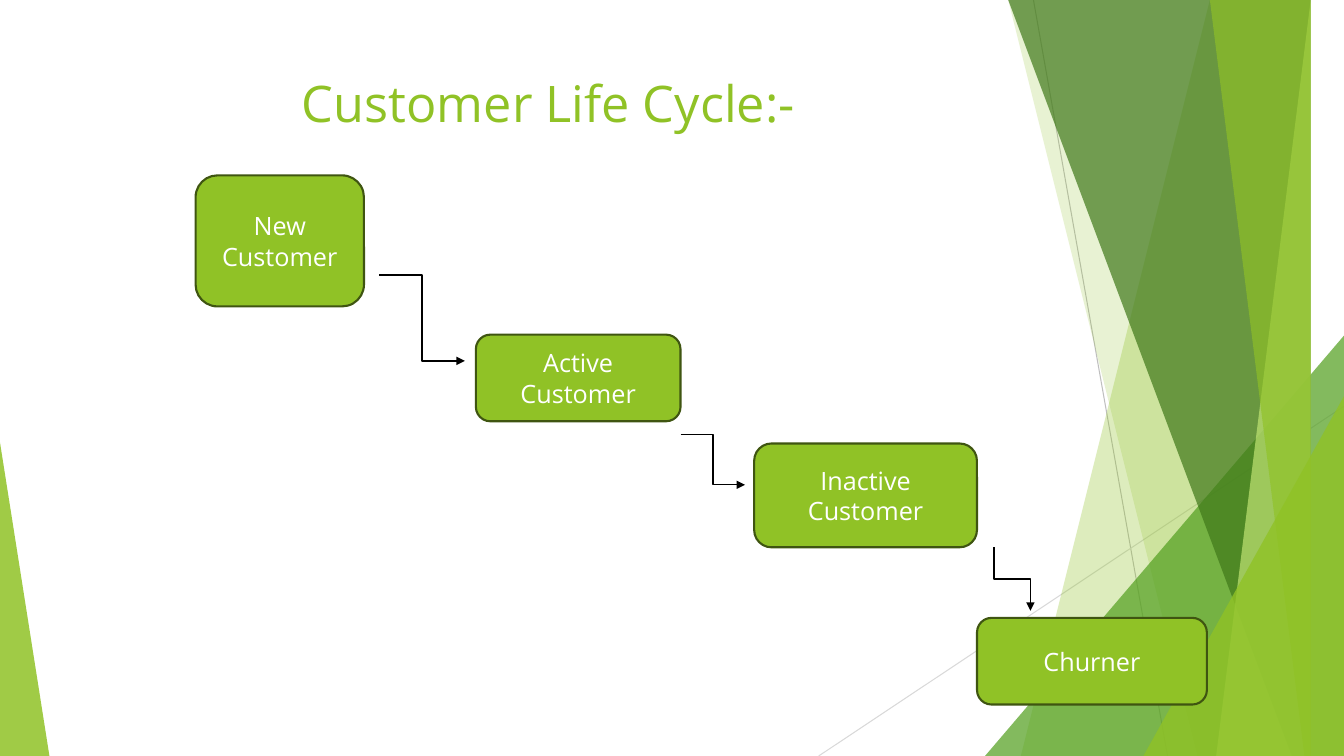
from lxml import etree
from pptx import Presentation
from pptx.dml.color import RGBColor
from pptx.enum.shapes import MSO_CONNECTOR, MSO_SHAPE
from pptx.enum.text import MSO_ANCHOR, MSO_AUTO_SIZE, PP_ALIGN
from pptx.oxml.ns import qn
from pptx.util import Inches, Pt

STRAIGHT, ELBOW = MSO_CONNECTOR.STRAIGHT, MSO_CONNECTOR.ELBOW
TRIANGLE, ROUNDED = MSO_SHAPE.ISOSCELES_TRIANGLE, MSO_SHAPE.ROUNDED_RECTANGLE
CENTER = PP_ALIGN.CENTER
TOP, MIDDLE = MSO_ANCHOR.TOP, MSO_ANCHOR.MIDDLE
NO_AUTOFIT = MSO_AUTO_SIZE.NONE
WIDTH, HEIGHT = 13.33, 7.5
TITLE_ONLY = 5


def color(hex_code):
    return RGBColor.from_string(hex_code)


class LifeCycleSlide:
    """Holds the slide and its style, and draws each kind of element."""

    font = "Open Sans"
    green, outline, white, black = "90C226", "3F5511", "FFFFFF", "000000"

    def __init__(self, slide):
        self.slide = slide
        self.shapes = slide.shapes
        slide.background.fill.solid()
        slide.background.fill.fore_color.rgb = color(self.white)

    def set_text(self, frame, lines, size, text_color, anchor):
        frame.word_wrap = True
        frame.auto_size = NO_AUTOFIT
        frame.vertical_anchor = anchor
        for index, line in enumerate(lines):
            paragraph = frame.add_paragraph() if index else frame.paragraphs[0]
            paragraph.alignment = CENTER
            run = paragraph.add_run()
            run.text = line
            run.font.name = self.font
            run.font.size = Pt(size)
            run.font.color.rgb = color(text_color)

    def paint(self, shape, fill, opacity=100):
        shape.shadow.inherit = False
        shape.fill.solid()
        shape.fill.fore_color.rgb = color(fill)
        shape.line.fill.background()
        if opacity < 100:
            fill_color = shape._element.spPr.find(qn("a:solidFill")).find(qn("a:srgbClr"))
            etree.SubElement(fill_color, qn("a:alpha")).set("val", str(opacity * 1000))

    def title(self, text, box):
        heading = self.shapes.title
        heading.left, heading.top, heading.width, heading.height = map(Inches, box)
        self.set_text(heading.text_frame, [text], 36, self.green, TOP)

    def strip(self, top_x, bottom_x, fill, opacity):
        builder = self.shapes.build_freeform(top_x, -0.01, scale=Inches(1))
        builder.add_line_segments([(WIDTH, -0.01), (WIDTH, HEIGHT), (bottom_x, HEIGHT)])
        self.paint(builder.convert_to_shape(), fill, opacity)

    def corner(self, left, top, width, apex, fill, opacity):
        box = map(Inches, (left, top, width, HEIGHT - top))
        triangle = self.shapes.add_shape(TRIANGLE, *box)
        triangle.adjustments[0] = apex
        self.paint(triangle, fill, opacity)

    def stage(self, lines, box):
        card = self.shapes.add_shape(ROUNDED, *map(Inches, box))
        self.paint(card, self.green)
        card.line.color.rgb = color(self.outline)
        card.line.width = Pt(1.5)
        self.set_text(card.text_frame, lines, 18, self.white, MIDDLE)

    def line(self, kind, ends, line_color, width):
        connector = self.shapes.add_connector(kind, *map(Inches, ends))
        connector.line.color.rgb = color(line_color)
        connector.line.width = Pt(width)
        etree.SubElement(connector._element.spPr, qn("a:effectLst"))
        return connector

    def arrow(self, start_x, start_y, end_x, end_y, downward=False):
        ends = start_x, start_y, end_x, end_y
        if downward:
            mid_x, mid_y = (start_x + end_x) / 2, (start_y + end_y) / 2
            half_w, half_h = (end_y - start_y) / 2, (end_x - start_x) / 2
            ends = mid_x + half_w, mid_y - half_h, mid_x - half_w, mid_y + half_h
        connector = self.line(ELBOW, ends, self.black, 1)
        properties = connector._element.spPr
        if downward:
            properties.find(qn("a:xfrm")).set("rot", "16200000")
        stroke = properties.find(qn("a:ln"))
        etree.SubElement(stroke, qn("a:tailEnd")).set("type", "triangle")


def main():
    deck = Presentation()
    deck.slide_width, deck.slide_height = Inches(WIDTH), Inches(HEIGHT)
    page = LifeCycleSlide(deck.slides.add_slide(deck.slide_layouts[TITLE_ONLY]))

    page.line(STRAIGHT, (10.25, 0, 11.58, HEIGHT), "BFBFBF", 0.75)
    page.line(STRAIGHT, (WIDTH, 4.03, 8.12, HEIGHT), "D9D9D9", 0.75)
    page.strip(12.28, 10.04, page.green, 30)
    page.strip(10.5, 11.83, page.green, 20)
    page.corner(9.77, 3.33, 3.56, 1, "54A021", 72)
    page.strip(10.21, 12.91, "3F7819", 70)
    page.strip(13.03, 11.92, "C0E474", 70)
    page.strip(11.96, 13.18, page.green, 65)
    page.corner(11.34, 3.93, 1.99, 1, page.green, 80)
    page.corner(0, 4.39, 0.49, 0, page.green, 85)

    page.title("Customer Life Cycle:-", (0.74, 0.67, 9.4, 1.44))
    stages = [
        (["New Customer"], (1.94, 1.74, 1.67, 1.3)),
        (["Active", "Customer"], (4.72, 3.32, 2.03, 0.86)),
        (["Inactive", "Customer"], (7.48, 4.4, 2.21, 1.03)),
        (["Churner"], (9.69, 6.13, 2.28, 0.86)),
    ]
    for lines, box in stages:
        page.stage(lines, box)
    page.arrow(3.76, 2.73, 4.61, 3.58)
    page.arrow(6.75, 4.31, 7.39, 4.81)
    page.arrow(9.86, 5.43, 10.22, 6.06, downward=True)

    deck.save("out.pptx")


if __name__ == "__main__":
    main()
